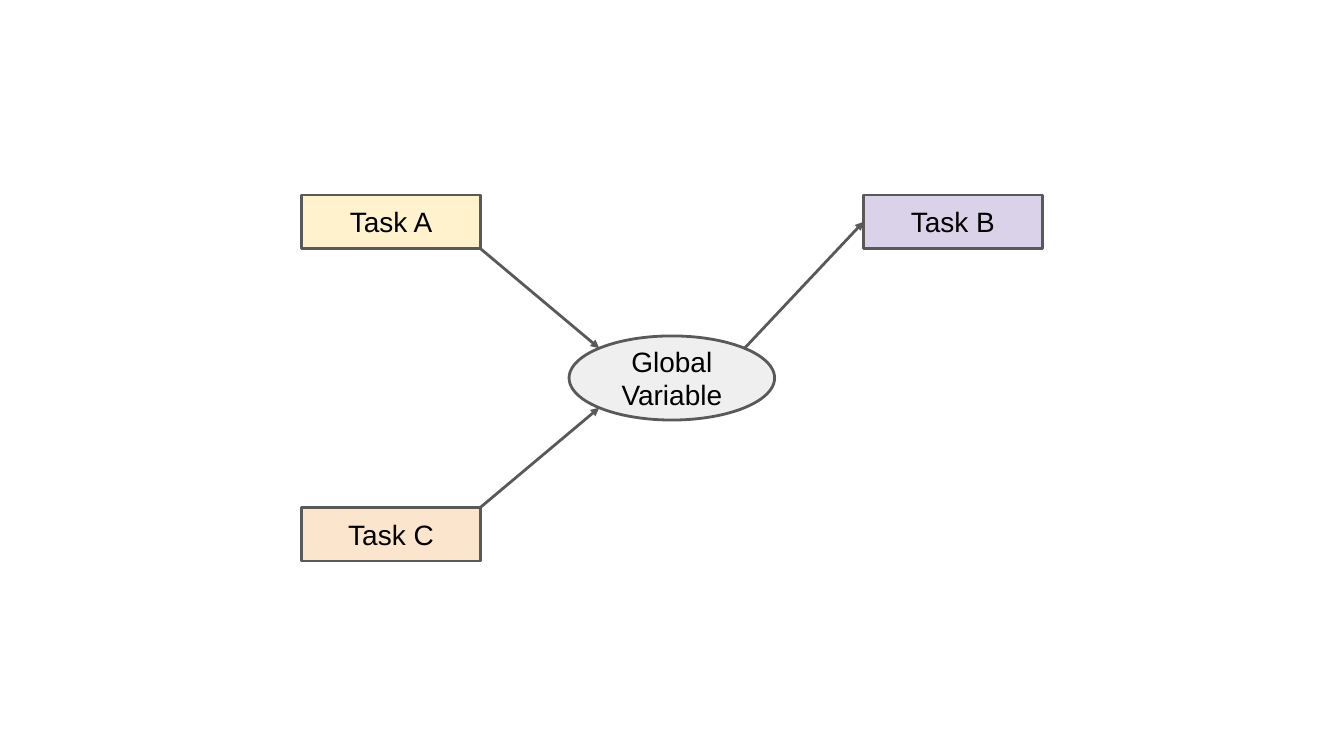
"""Build a slide of three tasks that share one global variable."""
from dataclasses import dataclass
from math import sqrt

from lxml.etree import SubElement
from pptx import Presentation
from pptx.dml.color import RGBColor
from pptx.enum.shapes import MSO_CONNECTOR, MSO_SHAPE
from pptx.enum.text import MSO_ANCHOR, PP_ALIGN
from pptx.oxml.ns import qn
from pptx.util import Cm, Pt


@dataclass(frozen=True)
class Theme:
    font: str = "Arial"
    text_size: Pt = Pt(30)
    line_width: Pt = Pt(3)
    text: RGBColor = RGBColor.from_string("000000")
    line: RGBColor = RGBColor.from_string("595959")
    task_a: RGBColor = RGBColor.from_string("FFF2CC")
    task_b: RGBColor = RGBColor.from_string("D9D2E9")
    task_c: RGBColor = RGBColor.from_string("FCE5CD")
    variable: RGBColor = RGBColor.from_string("EFEFEF")


theme = Theme()
presentation = Presentation()
presentation.slide_width = Cm(50.8)
presentation.slide_height = Cm(28.58)
slide = presentation.slides.add_slide(presentation.slide_layouts[6])


def add_node(kind, text, fill, left, top, width, height):
    shape = slide.shapes.add_shape(kind, left, top, width, height)
    shape.shadow.inherit = False
    shape.fill.solid()
    shape.fill.fore_color.rgb = fill
    shape.line.color.rgb = theme.line
    shape.line.width = theme.line_width
    frame = shape.text_frame
    frame.word_wrap = True
    frame.vertical_anchor = MSO_ANCHOR.MIDDLE
    frame.margin_left = frame.margin_right = Cm(0.25)
    frame.margin_top = frame.margin_bottom = Cm(0.25)
    paragraph = frame.paragraphs[0]
    paragraph.text = text
    paragraph.alignment = PP_ALIGN.CENTER
    paragraph.font.name = theme.font
    paragraph.font.size = theme.text_size
    paragraph.font.color.rgb = theme.text
    return shape


def add_arrow(start_x, start_y, end_x, end_y):
    arrow = slide.shapes.add_connector(
        MSO_CONNECTOR.STRAIGHT, int(start_x), int(start_y), int(end_x), int(end_y))
    arrow.line.color.rgb = theme.line
    arrow.line.width = theme.line_width
    SubElement(arrow.line._get_or_add_ln(), qn("a:tailEnd"), type="triangle")
    SubElement(arrow._element.spPr, qn("a:effectLst"))
    return arrow


left_column, right_column = Cm(11.4), Cm(32.64)
upper_row, lower_row = Cm(7.37), Cm(19.18)
task_size = Cm(6.76), Cm(2.03)

tasks = [
    add_node(MSO_SHAPE.RECTANGLE, text, fill, left, top, *task_size)
    for text, fill, left, top in (
        ("Task A", theme.task_a, left_column, upper_row),
        ("Task B", theme.task_b, right_column, upper_row),
        ("Task C", theme.task_c, left_column, lower_row),
    )
]
task_a, task_b, task_c = tasks
variable = add_node(MSO_SHAPE.OVAL, "Global Variable", theme.variable,
                    Cm(21.51), Cm(12.7), Cm(7.77), Cm(3.18))

center_x = variable.left + variable.width / 2
center_y = variable.top + variable.height / 2
reach_x = variable.width / 2 / sqrt(2)
reach_y = variable.height / 2 / sqrt(2)

add_arrow(task_a.left + task_a.width, task_a.top + task_a.height,
          center_x - reach_x, center_y - reach_y)
add_arrow(task_c.left + task_c.width, task_c.top,
          center_x - reach_x, center_y + reach_y)
read_arrow = add_arrow(center_x + reach_x, center_y - reach_y,
                       task_b.left, task_b.top + task_b.height / 2)
read_arrow.end_connect(task_b, 1)

presentation.save("out.pptx")
